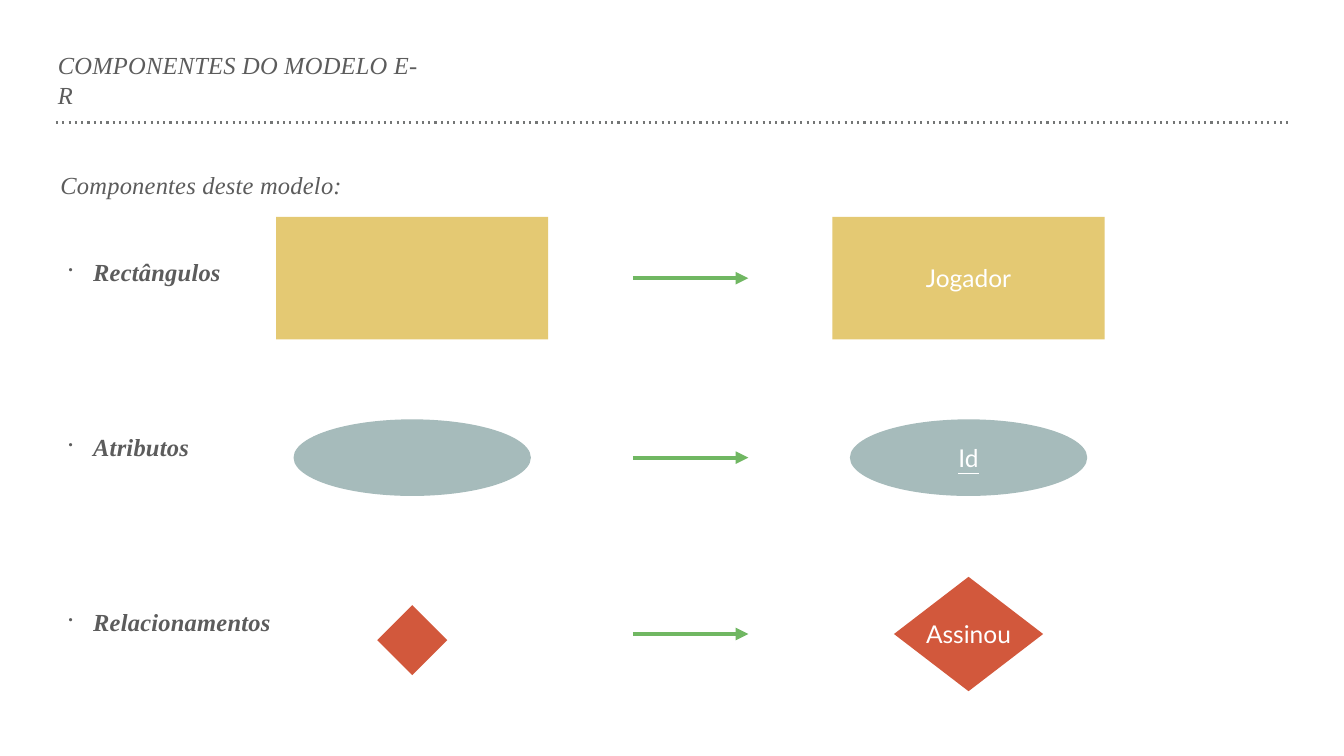
from dataclasses import dataclass
from typing import Any, Optional

from lxml.etree import SubElement
from pptx import Presentation
from pptx.dml.color import RGBColor
from pptx.enum.shapes import MSO_CONNECTOR, MSO_SHAPE
from pptx.enum.text import MSO_ANCHOR, PP_ALIGN
from pptx.oxml.ns import qn
from pptx.util import Inches, Pt

GREY, RULE_GREY, WHITE = "5C5C5C", "747676", "FFFFFF"
SAND, TEAL, RUST, GREEN = "E4C973", "A6BBBB", "D2583C", "70B762"
SERIF = {"name": "Times New Roman", "size": Pt(35), "italic": True}
SANS = {"name": "Lato", "size": Pt(35)}
SYMBOL_X, EXAMPLE_X = 8.18, 19.22  # centres of the two columns
ARROW_START, ARROW_END = 12.56, 14.85


@dataclass
class Component:
    label: str
    example: str
    kind: Optional[MSO_SHAPE]  # None stands for a diamond outline
    color: str
    center_y: float
    symbol_y: float
    symbol_size: tuple[float, float]
    example_size: tuple[float, float]
    space_before: float
    underline: bool = False


COMPONENTS = [
    Component("Rectângulos", "Jogador", MSO_SHAPE.RECTANGLE, SAND,
              5.52, 5.52, (5.4, 2.43), (5.4, 2.43), 82.5),
    Component("Atributos", "Id", MSO_SHAPE.OVAL, TEAL,
              9.08, 9.08, (4.71, 1.52), (4.71, 1.52), 208, underline=True),
    Component("Relacionamentos", "Assinou", None, RUST,
              12.58, 12.7, (1.39, 1.39), (2.96, 2.27), 208),
]


def rgb(color: str) -> RGBColor:
    return RGBColor.from_string(color)


def set_frame(frame: Any) -> None:
    settings = {"word_wrap": True, "vertical_anchor": MSO_ANCHOR.MIDDLE}
    margins = {f"margin_{side}": Inches(0.06) for side in ("left", "top", "right", "bottom")}
    for name, value in (settings | margins).items():
        setattr(frame, name, value)


def add_span(para: Any, text: str, color: str, style: dict[str, Any]) -> Any:
    span = para.add_run()
    span.text = text
    for name, value in style.items():
        setattr(span.font, name, value)
    span.font.color.rgb = rgb(color)
    return span


def add_serif(para: Any, text: str, bold: bool = False) -> None:
    span = add_span(para, text, GREY, SERIF | {"bold": bold})
    span.font._element.set("spc", "30")


def add_box(page: Any, left: float, top: float, width: float, height: float) -> Any:
    box = page.shapes.add_textbox(Inches(left), Inches(top), Inches(width), Inches(height))
    set_frame(box.text_frame)
    return box.text_frame


def add_bullet(para: Any) -> None:
    properties = para._p.get_or_add_pPr()
    properties.set("marL", str(Inches(0.65)))
    properties.set("indent", str(-Inches(0.49)))
    SubElement(properties, qn("a:buSzPct"), val="50000")
    SubElement(properties, qn("a:buChar"), char="•")


def add_line(page: Any, start: float, end: float, y: float, color: str, width: float) -> Any:
    line = page.shapes.add_connector(
        MSO_CONNECTOR.STRAIGHT, Inches(start), Inches(y), Inches(end), Inches(y))
    line.line.color.rgb = rgb(color)
    line.line.width = Pt(width)
    SubElement(line._element.spPr, qn("a:effectLst"))
    return line.line.get_or_change_to_ln() if hasattr(line.line, "get_or_change_to_ln") \
        else line._element.spPr.find(qn("a:ln"))


def add_symbol(page: Any, item: Component, x: float, y: float,
               size: tuple[float, float]) -> Any:
    width, height = size
    left, top = x - width / 2, y - height / 2
    if item.kind is None:
        corners = [(x, top + height), (left + width, y), (x, top)]
        builder = page.shapes.build_freeform(Inches(left), Inches(y))
        builder.add_line_segments([(Inches(a), Inches(b)) for a, b in corners])
        shape = builder.convert_to_shape()
    else:
        shape = page.shapes.add_shape(
            item.kind, Inches(left), Inches(top), Inches(width), Inches(height))
    shape.shadow.inherit = False
    shape.fill.solid()
    shape.fill.fore_color.rgb = rgb(item.color)
    shape.line.fill.background()
    return shape


def add_example(page: Any, item: Component) -> None:
    shape = add_symbol(page, item, EXAMPLE_X, item.center_y, item.example_size)
    set_frame(shape.text_frame)
    para = shape.text_frame.paragraphs[0]
    para.alignment = PP_ALIGN.CENTER
    style = SANS | ({"underline": True} if item.underline else {})
    add_span(para, item.example, WHITE, style)


def main() -> None:
    deck = Presentation()
    deck.slide_width, deck.slide_height = Inches(26.67), Inches(15)
    page = deck.slides.add_slide(deck.slide_layouts[6])

    # Title and dotted rule
    rule = add_line(page, 1.11, 25.56, 2.43, RULE_GREY, 3)
    dashes = SubElement(rule, qn("a:custDash"))
    SubElement(dashes, qn("a:ds"), d="100000", sp="200000")
    title = add_box(page, 1.09, 1.19, 7.5, 0.78)
    add_serif(title.paragraphs[0], "COMPONENTES DO MODELO E-R")

    # Bulleted labels
    body = add_box(page, 1.14, 2.89, 12.5, 10.22)
    add_serif(body.paragraphs[0], "Componentes deste modelo:")
    for item in COMPONENTS:
        para = body.add_paragraph()
        para.space_before = Pt(item.space_before)
        add_bullet(para)
        add_serif(para, item.label, bold=True)

    # Each symbol, its arrow and its example
    for item in COMPONENTS:
        add_symbol(page, item, SYMBOL_X, item.symbol_y, item.symbol_size)
        add_example(page, item)
        arrow = add_line(page, ARROW_START, ARROW_END, item.center_y, GREEN, 6)
        SubElement(arrow, qn("a:tailEnd"), type="triangle")

    deck.save("out.pptx")


if __name__ == "__main__":
    main()
